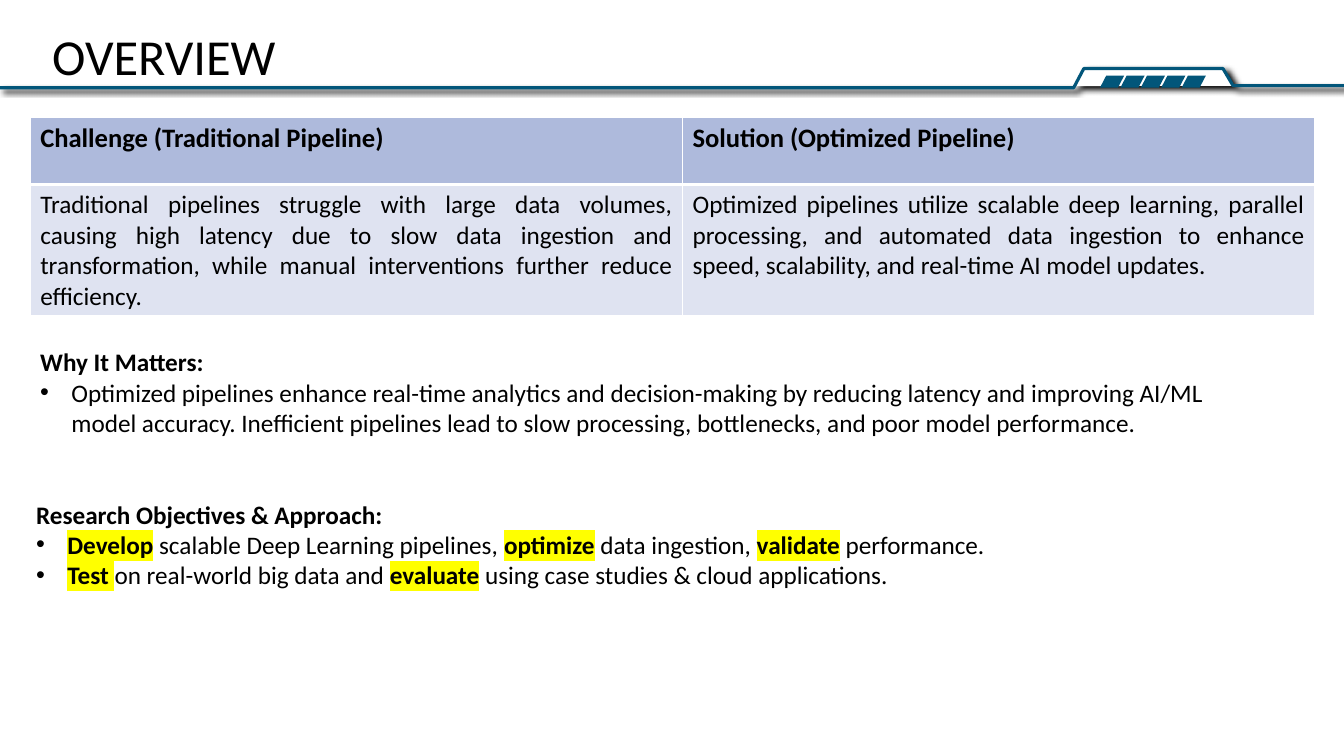
from dataclasses import dataclass
from typing import Optional

from lxml import etree
from pptx import Presentation
from pptx.dml.color import RGBColor
from pptx.enum import shapes, text
from pptx.oxml import ns
from pptx.util import Inches, Pt


@dataclass(frozen=True)
class Theme:
    font: str = "Calibri"
    ink: str = "000000"
    accent: str = "02567A"
    paper: str = "FFFFFF"
    header_fill: str = "AEBADC"
    body_fill: str = "DFE3F1"
    marker: str = "FFFF00"
    title_size: float = 36
    header_size: float = 19
    body_size: float = 18
    bullet_indent: float = 0.31


@dataclass(frozen=True)
class Run:
    words: str
    bold: bool = False
    marked: bool = False


@dataclass(frozen=True)
class Section:
    left: float
    top: float
    width: float
    height: float
    heading: str
    bullets: list[list[Run]]


@dataclass(frozen=True)
class TableRow:
    height: float
    cells: list[str]
    fill: str
    size: float
    bold: bool
    bottom_border: float
    align: Optional[text.PP_ALIGN] = None


THEME = Theme()


def key(words: str) -> Run:
    return Run(words, bold=True, marked=True)


TABLE_COLUMNS = [6.47, 6.27]
TABLE_ROWS = [
    TableRow(0.67, ["Challenge (Traditional Pipeline)", "Solution (Optimized Pipeline)"],
             THEME.header_fill, THEME.header_size, True, 3),
    TableRow(1.3, [
        "Traditional pipelines struggle with large data volumes, causing high latency due to "
        "slow data ingestion and transformation, while manual interventions further reduce "
        "efficiency.",
        "Optimized pipelines utilize scalable deep learning, parallel processing, and automated "
        "data ingestion to enhance speed, scalability, and real-time AI model updates.",
    ], THEME.body_fill, THEME.body_size, False, 1, text.PP_ALIGN.JUSTIFY),
]

SECTIONS = [
    Section(0.3, 3.39, 11.99, 1.01, "Why It Matters:", [
        [Run("Optimized pipelines enhance real-time analytics and decision-making by reducing "
             "latency and improving AI/ML model accuracy. Inefficient pipelines lead to slow "
             "processing, bottlenecks, and poor model performance.")],
    ]),
    Section(0.26, 4.9, 11.26, 1.92, "Research Objectives & Approach:", [
        [key("Develop"), Run(" scalable Deep Learning pipelines, "), key("optimize"),
         Run(" data ingestion, "), key("validate"), Run(" performance.")],
        [key("Test"), Run(" ", marked=True), Run("on real-world big data and "),
         key("evaluate"), Run(" using case studies & cloud applications.")],
    ]),
]


def rgb(colour: str) -> RGBColor:
    return RGBColor.from_string(colour)


def add_child(parent, tag: str, **attributes):
    return etree.SubElement(parent, ns.qn(tag), attributes)


def add_run(paragraph, run: Run, size: float) -> None:
    piece = paragraph.add_run()
    piece.text = run.words
    font = piece.font
    font.size, font.bold = Pt(size), run.bold
    font.color.rgb = rgb(THEME.ink)
    if run.marked:
        highlight = add_child(font._element, "a:highlight")
        add_child(highlight, "a:srgbClr", val=THEME.marker)
    font.name = THEME.font


def add_bullet(paragraph) -> None:
    properties = paragraph._p.get_or_add_pPr()
    indent = Inches(THEME.bullet_indent)
    properties.set("marL", str(indent))
    properties.set("indent", str(-indent))
    add_child(properties, "a:buFont", typeface="Arial")
    add_child(properties, "a:buChar", char="•")


def add_text_frame(slide, left: float, top: float, width: float, height: float, wrap: bool):
    box = slide.shapes.add_textbox(Inches(left), Inches(top), Inches(width), Inches(height))
    box.text_frame.word_wrap = wrap
    return box.text_frame


def draw_header_band(slide) -> None:
    # Rule with a raised tab
    outline = [(0, 0.87), (10.65, 0.87), (10.75, 0.68), (12.13, 0.68), (12.23, 0.85), (13.33, 0.85)]
    points = [(Inches(x), Inches(y)) for x, y in outline]
    builder = slide.shapes.build_freeform(*points[0])
    builder.add_line_segments(points[1:], close=False)
    rule = builder.convert_to_shape()
    rule.fill.solid()
    rule.fill.fore_color.rgb = rgb(THEME.paper)
    rule.line.color.rgb = rgb(THEME.accent)
    rule.line.width = Pt(2.25)
    rule.shadow.inherit = False
    effects = rule._element.spPr.find(ns.qn("a:effectLst"))
    shadow = add_child(effects, "a:outerShdw", blurRad=str(Pt(4)), dist=str(Pt(3)),
                       dir=str(45 * 60000), algn="tl", rotWithShape="0")
    add_child(shadow, "a:srgbClr", val=THEME.ink)

    # Slanted blocks inside the tab
    for index in range(5):
        block = slide.shapes.add_shape(
            shapes.MSO_SHAPE.PARALLELOGRAM,
            Inches(10.91 + index * 0.2025), Inches(0.75), Inches(0.24), Inches(0.12))
        block.adjustments[0] = 0.52
        block.fill.solid()
        block.fill.fore_color.rgb = rgb(THEME.accent)
        block.line.fill.background()
        block.shadow.inherit = False


def set_borders(cell, bottom: float) -> None:
    properties = cell._tc.get_or_add_tcPr()
    for tag, width in [("a:lnL", 1), ("a:lnR", 1), ("a:lnT", 1), ("a:lnB", bottom)]:
        border = add_child(properties, tag, w=str(Pt(width)))
        add_child(add_child(border, "a:solidFill"), "a:srgbClr", val=THEME.paper)


def draw_comparison(slide) -> None:
    comparison = slide.shapes.add_table(
        len(TABLE_ROWS), len(TABLE_COLUMNS), Inches(0.3), Inches(1.16),
        Inches(sum(TABLE_COLUMNS)), Inches(sum(row.height for row in TABLE_ROWS))).table
    for column, width in zip(comparison.columns, TABLE_COLUMNS):
        column.width = Inches(width)
    for row_index, row in enumerate(TABLE_ROWS):
        comparison.rows[row_index].height = Inches(row.height)
        for column_index, words in enumerate(row.cells):
            cell = comparison.cell(row_index, column_index)
            set_borders(cell, row.bottom_border)
            cell.fill.solid()
            cell.fill.fore_color.rgb = rgb(row.fill)
            paragraph = cell.text_frame.paragraphs[0]
            paragraph.alignment = row.align
            add_run(paragraph, Run(words, row.bold), row.size)


def draw_section(slide, section: Section) -> None:
    frame = add_text_frame(slide, section.left, section.top, section.width, section.height, True)
    add_run(frame.paragraphs[0], Run(section.heading, bold=True), THEME.body_size)
    for bullet in section.bullets:
        paragraph = frame.add_paragraph()
        add_bullet(paragraph)
        for run in bullet:
            add_run(paragraph, run, THEME.body_size)


def main() -> None:
    deck = Presentation()
    deck.slide_width, deck.slide_height = Inches(13.33), Inches(7.5)
    slide = deck.slides.add_slide(deck.slide_layouts[6])

    draw_header_band(slide)
    title = add_text_frame(slide, 0.42, 0.2, 2.44, 0.71, False)
    add_run(title.paragraphs[0], Run("OVERVIEW"), THEME.title_size)
    draw_comparison(slide)
    for section in SECTIONS:
        draw_section(slide, section)

    deck.save("out.pptx")


if __name__ == "__main__":
    main()
